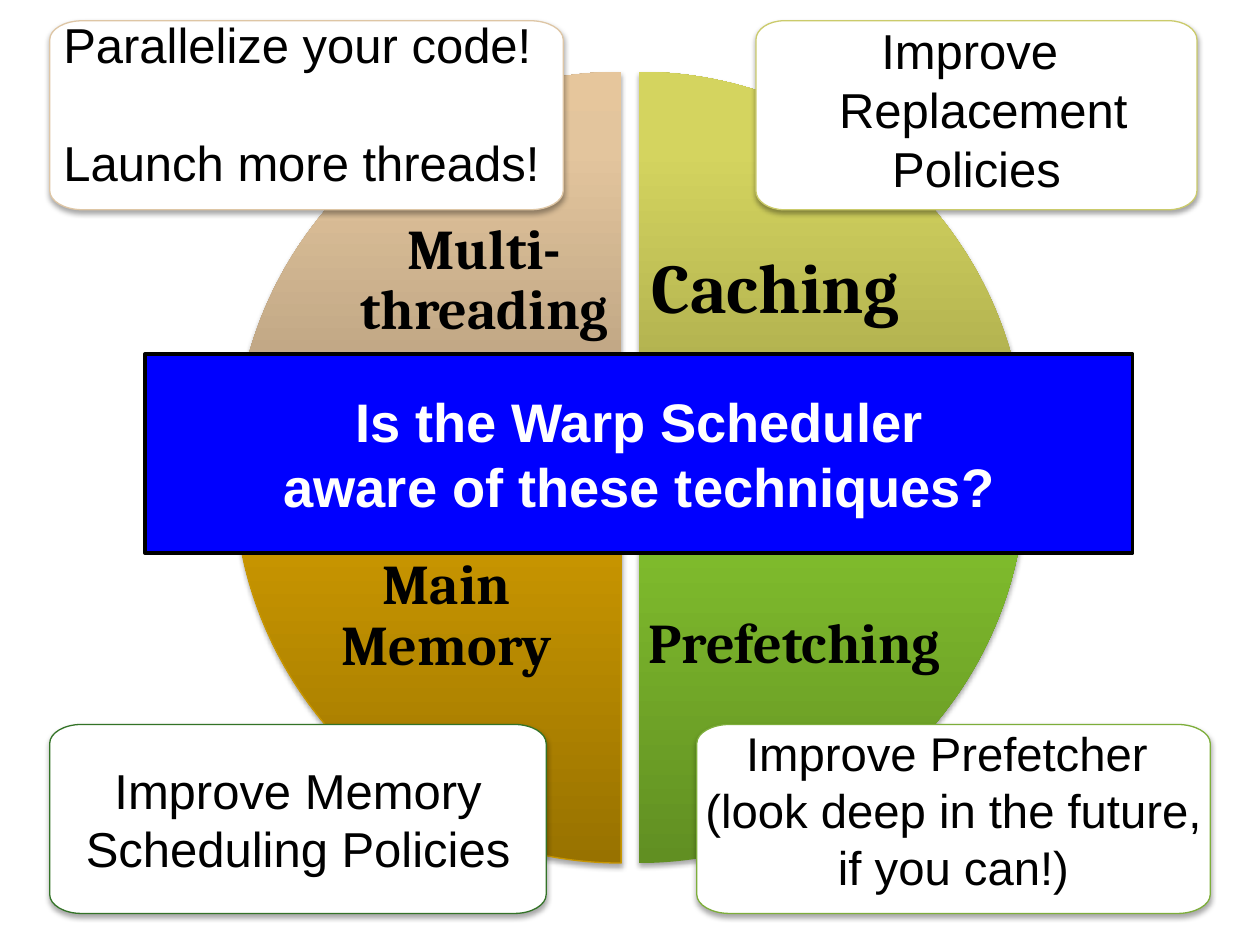
from lxml import etree
from pptx import Presentation
from pptx.dml.color import RGBColor
from pptx.enum.shapes import MSO_SHAPE
from pptx.enum.text import MSO_ANCHOR, PP_ALIGN
from pptx.oxml.ns import qn
from pptx.util import Inches, Pt

RECT = MSO_SHAPE.RECTANGLE
LEFT, CENTER = PP_ALIGN.LEFT, PP_ALIGN.CENTER
TOP, MIDDLE = MSO_ANCHOR.TOP, MSO_ANCHOR.MIDDLE

BLACK = RGBColor(0x00, 0x00, 0x00)
WHITE = RGBColor(0xFF, 0xFF, 0xFF)
BLUE = RGBColor(0x00, 0x00, 0xFF)
GOLD = RGBColor(0xC8, 0x96, 0x00)
TAN = RGBColor(0xDE, 0xC6, 0xA5)
OLIVE = RGBColor(0xCB, 0xCB, 0x6B)
FOREST = RGBColor(0x33, 0x73, 0x27)
LEAF = RGBColor(0x7D, 0xAE, 0x3A)
TAN_RAMP = [RGBColor(0xAF, 0x98, 0x79), RGBColor(0xE3, 0xC5, 0x9D), RGBColor(0xE6, 0xC6, 0x9C)]
OLIVE_RAMP = [RGBColor(0xA3, 0xA3, 0x49), RGBColor(0xD4, 0xD4, 0x5F), RGBColor(0xD7, 0xD7, 0x5D)]
GREEN_RAMP = [RGBColor(0x61, 0x8F, 0x22), RGBColor(0x7E, 0xBA, 0x2C), RGBColor(0x7F, 0xBE, 0x29)]
GOLD_RAMP = [RGBColor(0x98, 0x72, 0x00), RGBColor(0xC6, 0x94, 0x00), RGBColor(0xC7, 0x95, 0x00)]
STOPS = (0, 80, 100)


class Deck:
    cols = 100
    center_x, center_y = 50, 37.1
    radius, half_gap = 30.7, 0.7
    callout_h, corner_h, corner_share = 15, 1.5, 0.064
    curve = 0.55
    body_font, wheel_font = "Arial", "Cambria"

    def __init__(self, prs):
        self.unit = prs.slide_width / self.cols
        self.slide = prs.slides.add_slide(prs.slide_layouts[6])

    def grid(self, *values):
        return [round(v * self.unit) for v in values]

    def curved(self, start, steps):
        begin = self.grid(*start)
        ends = [self.grid(*end) for _, end in steps]
        builder = self.slide.shapes.build_freeform(*begin)
        builder.add_line_segments(ends, close=True)
        sp = builder.convert_to_shape()
        segments = list(sp._element.iter(qn("a:lnTo")))
        for a, b, (corner, _), segment in zip([begin] + ends, ends, steps, segments):
            if corner is None:
                continue
            c = self.grid(*corner)
            bend = etree.Element(qn("a:cubicBezTo"))
            controls = [[p + self.curve * (q - p) for p, q in zip(end, c)] for end in (a, b)]
            for x, y in controls + [b]:
                etree.SubElement(bend, qn("a:pt"), x=str(round(x - sp.left)),
                                 y=str(round(y - sp.top)))
            segment.getparent().replace(segment, bend)
        return sp

    def outline(self, sp, color, width):
        if color is None:
            sp.line.fill.background()
        else:
            sp.line.color.rgb = color
            sp.line.width = Pt(width)

    def shadow(self, sp):
        sp.shadow.inherit = False
        effects = sp._element.spPr.find(qn("a:effectLst"))
        outer = etree.SubElement(effects, qn("a:outerShdw"), blurRad=str(Pt(3.1)),
                                 dist=str(Pt(1.8)), dir="5400000", rotWithShape="0")
        color = etree.SubElement(outer, qn("a:srgbClr"), val=str(BLACK))
        etree.SubElement(color, qn("a:alpha"), val="35000")

    def gradient(self, sp, ramp):
        sp.fill.gradient()
        sp.fill.gradient_angle = 90
        stops = sp._element.spPr.find(qn("a:gradFill")).find(qn("a:gsLst"))
        for gs in list(stops):
            stops.remove(gs)
        for pos, color in zip(STOPS, ramp):
            gs = etree.SubElement(stops, qn("a:gs"), pos=str(pos * 1000))
            etree.SubElement(gs, qn("a:srgbClr"), val=str(color))

    def text(self, sp, lines, size, font, color=BLACK, bold=False, align=CENTER,
             anchor=MIDDLE, insets=(0, 0, 0, 0), spacing=1.0, gap=0):
        tf = sp.text_frame
        tf.word_wrap = True
        tf.vertical_anchor = anchor
        tf.margin_left, tf.margin_top, tf.margin_right, tf.margin_bottom = self.grid(*insets)
        for i, line in enumerate(lines):
            p = tf.paragraphs[0] if i == 0 else tf.add_paragraph()
            p.alignment = align
            p.line_spacing = spacing
            p.space_before = Pt(gap if i else 0)
            r = p.add_run()
            r.text = line
            r.font.size, r.font.name, r.font.bold = Pt(size), font, bold
            r.font.color.rgb = color

    def quadrant(self, side, level, label, size, ramp, insets, line=None):
        x = self.center_x + side * self.half_gap
        y = self.center_y + level * self.half_gap
        far_x, far_y = x + side * self.radius, y + level * self.radius
        sp = self.curved((x, y), [(None, (far_x, y)), ((far_x, far_y), (x, far_y))])
        self.gradient(sp, ramp)
        self.outline(sp, line, 0.75)
        self.shadow(sp)
        self.text(sp, [label], size, self.wheel_font, bold=True, insets=insets, spacing=0.9)

    def callout(self, x, y, w, lines, line, size=28, **style):
        rx, ry = w * self.corner_share, self.corner_h
        right, bottom = x + w, y + self.callout_h
        sp = self.curved((x, y + ry), [
            ((x, y), (x + rx, y)), (None, (right - rx, y)),
            ((right, y), (right, y + ry)), (None, (right, bottom - ry)),
            ((right, bottom), (right - rx, bottom)), (None, (x + rx, bottom)),
            ((x, bottom), (x, bottom - ry))])
        sp.fill.solid()
        sp.fill.fore_color.rgb = WHITE
        self.outline(sp, line, 0.75)
        self.shadow(sp)
        self.text(sp, lines, size, self.body_font, **style)

    def banner(self, x, y, w, h, lines):
        sp = self.slide.shapes.add_shape(RECT, *self.grid(x, y, w, h))
        sp.fill.solid()
        sp.fill.fore_color.rgb = BLUE
        self.outline(sp, BLACK, 2)
        sp.shadow.inherit = False
        self.text(sp, lines, 31, self.body_font, WHITE, bold=True)


prs = Presentation()
prs.slide_width, prs.slide_height = Inches(10), Inches(7.5)
deck = Deck(prs)

deck.quadrant(-1, -1, "Multi-threading", 32, TAN_RAMP, (9, 9, 0, 6.4))
deck.quadrant(1, -1, "Caching", 40, OLIVE_RAMP, (0, 9, 9, 5))
deck.quadrant(1, 1, "Prefetching", 32, GREEN_RAMP, (0, 5.1, 6, 9))
deck.quadrant(-1, 1, "Main Memory", 32, GOLD_RAMP, (6, 0.6, 3, 9), GOLD)

deck.callout(60, 1.65, 35, ["Improve ", " Replacement Policies"], OLIVE, anchor=TOP)
deck.callout(3.95, 1.65, 40.75, [" Parallelize your code!", " Launch more threads!"], TAN,
             align=LEFT, anchor=TOP, spacing=0.9, gap=37.5)
deck.callout(3.95, 57.5, 39.4, ["Improve Memory Scheduling Policies"], FOREST)
deck.callout(55.3, 57.5, 40.75, ["Improve Prefetcher ", "(look deep in the future, if you can!)"],
             LEAF, size=27, anchor=TOP)
deck.banner(11.5, 28.1, 78.4, 15.8, ["Is the Warp Scheduler", "aware of these techniques?"])

prs.save("out.pptx")
